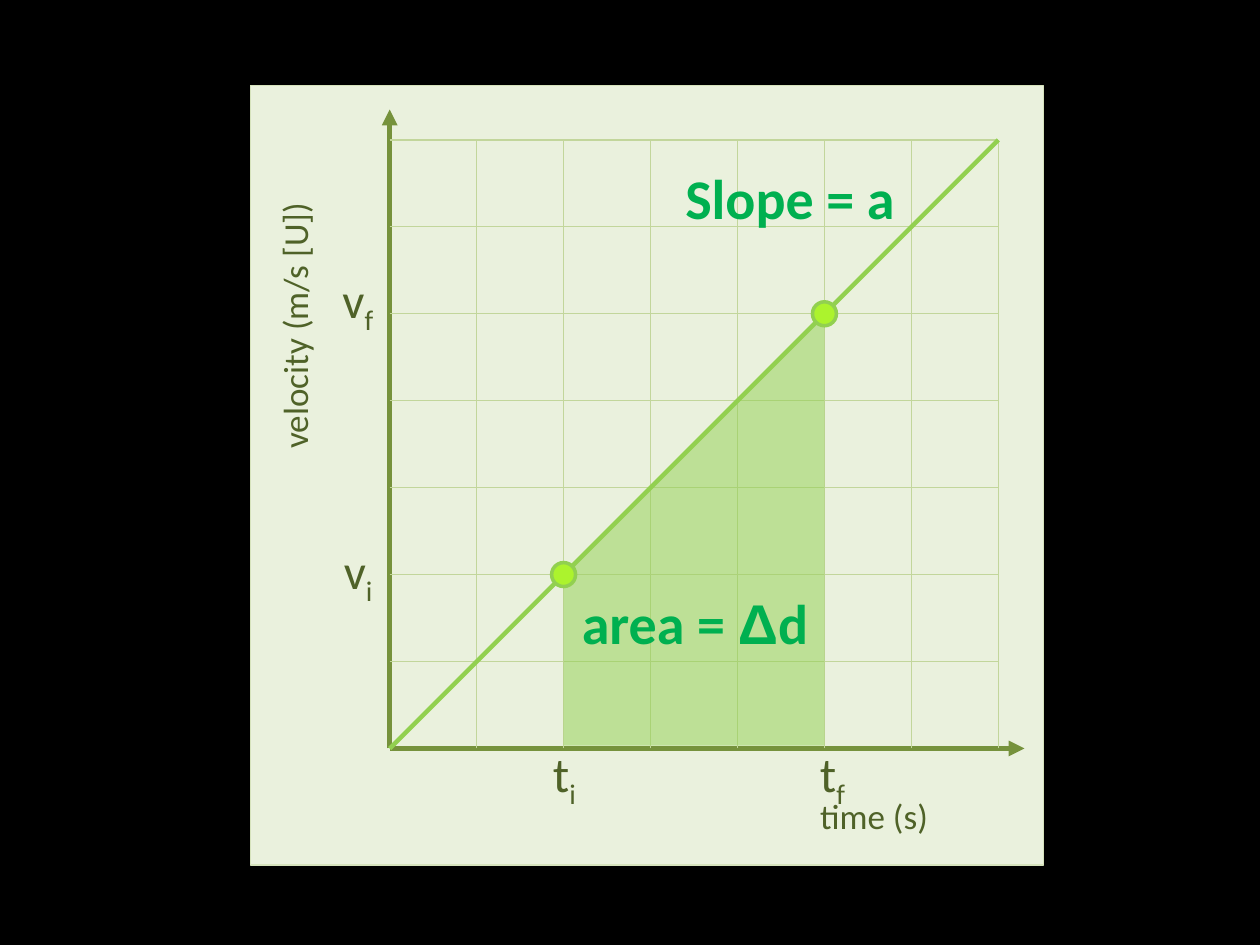
from dataclasses import dataclass

from lxml.etree import SubElement
from pptx import Presentation
from pptx.dml.color import RGBColor
from pptx.enum.shapes import MSO_CONNECTOR, MSO_SHAPE as Preset
from pptx.oxml.ns import qn
from pptx.util import Pt

ORIGIN_X, ORIGIN_Y = 222.7, 427.7
STEP = 49.68
CELLS = 7
PANEL, PANEL_EDGE = "EAF1DD", "D6E3BC"
AXIS, GRID = "76923C", "C2D69B"
GRAPH, POINT = "92D050", "ACF32D"
LABEL, NOTE = "4F6228", "00B050"


@dataclass
class Span:
    text: str
    font: str = "Calibri"
    subscript: bool = False


@dataclass
class Label:
    left: float
    top: float
    width: float
    height: float
    spans: list[Span]
    size: float = 28
    color: str = LABEL
    bold: bool = False
    rotation: float = 0


def paint(target, color: str) -> None:
    """Give a fill, or anything with a fill, a solid colour."""
    target.solid()
    target.fore_color.rgb = RGBColor.from_string(color)


def grid_x(column: float) -> float:
    return ORIGIN_X + column * STEP


def grid_y(row: float) -> float:
    return ORIGIN_Y - row * STEP


def add_line(page, start: tuple[float, float], end: tuple[float, float],
             color: str, width: float, arrow: bool = False) -> None:
    line = page.shapes.add_connector(
        MSO_CONNECTOR.STRAIGHT, *(Pt(value) for value in (*start, *end)))
    paint(line.line.fill, color)
    line.line.width = Pt(width)
    if arrow:
        SubElement(line.line.fill._xPr, qn("a:tailEnd"), type="triangle")
    SubElement(line._element.spPr, qn("a:effectLst"))


def add_shape(page, preset, left: float, top: float, width: float, height: float,
              fill: str, edge: str | None = None, edge_width: float = 0,
              opacity: int = 100, rotation: float = 0) -> None:
    shape = page.shapes.add_shape(preset, Pt(left), Pt(top), Pt(width), Pt(height))
    shape.shadow.inherit = False
    shape.rotation = rotation
    paint(shape.fill, fill)
    if opacity < 100:
        color = shape._element.spPr.find(f"{qn('a:solidFill')}/{qn('a:srgbClr')}")
        SubElement(color, qn("a:alpha"), val=str(opacity * 1000))
    if edge:
        paint(shape.line.fill, edge)
        shape.line.width = Pt(edge_width)
    else:
        shape.line.fill.background()


def add_label(page, label: Label) -> None:
    box = page.shapes.add_textbox(
        Pt(label.left), Pt(label.top), Pt(label.width), Pt(label.height))
    box.rotation = label.rotation
    box.text_frame.word_wrap = True
    para = box.text_frame.paragraphs[0]
    for span in label.spans:
        run = para.add_run()
        run.text = span.text
        run.font.name = span.font
        run.font.size = Pt(label.size)
        run.font.bold = label.bold
        paint(run.font.fill, label.color)
        if span.subscript:
            run._r.get_or_add_rPr().set("baseline", "-25000")


def symbol(left: float, top: float, letter: str, index: str) -> Label:
    return Label(left, top, 52.6, 45.4, [Span(letter), Span(index, subscript=True)])


def draw_grid(page) -> None:
    origin = (ORIGIN_X, ORIGIN_Y)
    add_line(page, origin, (ORIGIN_X, 62.6), AXIS, 3, arrow=True)
    add_line(page, origin, (585.4, ORIGIN_Y), AXIS, 3, arrow=True)
    for cell in range(1, CELLS + 1):
        add_line(page, (grid_x(cell), ORIGIN_Y), (grid_x(cell), grid_y(CELLS)), GRID, 0.75)
        add_line(page, (ORIGIN_X, grid_y(cell)), (grid_x(CELLS), grid_y(cell)), GRID, 0.75)


def draw_graph(page) -> None:
    """Draw the velocity line, the area below it and the two end points."""
    initial, final = 2, 5
    left, middle = grid_x(initial), grid_y(initial)
    side = (final - initial) * STEP
    add_line(page, (ORIGIN_X, ORIGIN_Y), (grid_x(CELLS), grid_y(CELLS)), GRAPH, 2.5)
    add_shape(page, Preset.RECTANGLE, left, middle, side, initial * STEP - 1.5,
              GRAPH, opacity=50)
    add_shape(page, Preset.RIGHT_TRIANGLE, left, middle - side, side, side,
              GRAPH, opacity=50, rotation=270)
    diameter = 13.7
    for cell in (final, initial):
        add_shape(page, Preset.OVAL, grid_x(cell) - diameter / 2,
                  grid_y(cell) - diameter / 2, diameter, diameter, POINT, GRAPH, 2)


LABELS = [
    Label(461.5, 450.7, 114.5, 38.2, [Span("time (s)")], size=20),
    Label(76.3, 148.3, 191.5, 38.9, [Span("velocity (m/s [U])")], size=20, rotation=270),
    symbol(188.6, 150.5, "v", "f"),
    symbol(189.4, 305.3, "v", "i"),
    symbol(308.9, 421.2, "t", "i"),
    symbol(461.5, 421.2, "t", "f"),
    Label(384.5, 90, 136.1, 46.1, [Span("Slope = a")], 32, NOTE, True),
    Label(325.4, 332.6, 155.5, 46.1,
          [Span("area = "), Span("Δ", "Arial"), Span("d")], 32, NOTE, True),
]


def main() -> None:
    deck = Presentation()
    deck.slide_width, deck.slide_height = Pt(720), Pt(540)
    page = deck.slides.add_slide(deck.slide_layouts[6])
    paint(page.background.fill, "000000")
    add_shape(page, Preset.RECTANGLE, 143.3, 49, 452.9, 445.3, PANEL, PANEL_EDGE, 0.75)
    draw_grid(page)
    draw_graph(page)
    for label in LABELS:
        add_label(page, label)
    deck.save("out.pptx")


if __name__ == "__main__":
    main()
